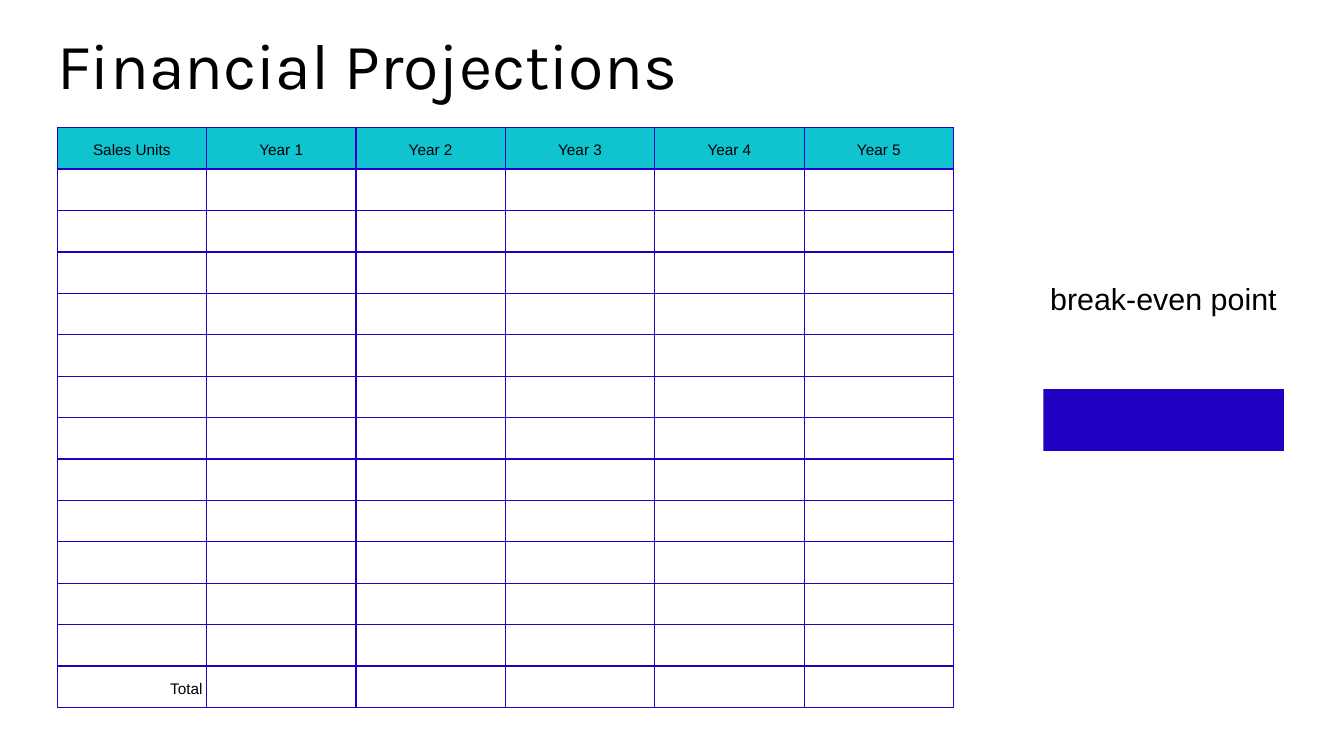
from dataclasses import dataclass

from lxml import etree
from pptx import Presentation
from pptx.dml.color import RGBColor
from pptx.enum.shapes import MSO_SHAPE
from pptx.enum.text import MSO_ANCHOR, MSO_AUTO_SIZE, PP_ALIGN
from pptx.oxml.ns import qn
from pptx.util import Inches, Pt

LEFT, CENTER, RIGHT = PP_ALIGN.LEFT, PP_ALIGN.CENTER, PP_ALIGN.RIGHT
TOP, MIDDLE = MSO_ANCHOR.TOP, MSO_ANCHOR.MIDDLE
NO_AUTOFIT = MSO_AUTO_SIZE.NONE
RECTANGLE = MSO_SHAPE.RECTANGLE
TITLE_ONLY = 5
BORDER_SIDES = ("a:lnL", "a:lnR", "a:lnT", "a:lnB")


@dataclass(frozen=True)
class Theme:
    """Colours, fonts and type sizes of the slide."""
    text: str = "000000"
    accent: str = "2100C4"
    header: str = "0FC3CF"
    background: str = "FFFFFF"
    title_font: str = "Karla"
    body_font: str = "Arial"
    title_size: float = 69.1
    label_size: float = 32.6
    table_size: float = 16.4
    border_width: float = 1.5


THEME = Theme()
HEADERS = ["Sales Units"] + [f"Year {year}" for year in range(1, 6)]
ROW_COUNT = 14


def set_attributes(target, values):
    """Set each named attribute of the target."""
    for name, value in values.items():
        setattr(target, name, value)


def place(shape, box):
    """Move and size a shape to a box in inches."""
    names = ("left", "top", "width", "height")
    set_attributes(shape, dict(zip(names, map(Inches, box))))


def write_text(text_frame, text, font_name, size, alignment, line_spacing):
    """Write one formatted paragraph."""
    text_frame.text = text
    paragraph = text_frame.paragraphs[0]
    set_attributes(paragraph, {"alignment": alignment, "line_spacing": Pt(line_spacing),
                               "space_before": Pt(0)})
    font = paragraph.runs[0].font
    set_attributes(font, {"name": font_name, "size": Pt(size), "bold": False})
    font.color.rgb = RGBColor.from_string(THEME.text)


def prepare_frame(text_frame):
    """Remove the margins and autofit of a text frame."""
    set_attributes(text_frame, {"margin_left": 0, "margin_right": 0, "margin_top": 0,
                                "margin_bottom": 0, "word_wrap": True,
                                "auto_size": NO_AUTOFIT, "vertical_anchor": TOP})


def add_title(slide, box):
    """Place and format the title placeholder."""
    title = slide.shapes.title
    place(title, box)
    prepare_frame(title.text_frame)
    write_text(title.text_frame, "Financial Projections", THEME.title_font,
               THEME.title_size, LEFT, 85)


def add_borders(cell):
    """Draw the four borders of a table cell."""
    properties = cell._tc.get_or_add_tcPr()
    for side in BORDER_SIDES:
        line = etree.SubElement(properties, qn(side), w=str(Pt(THEME.border_width)))
        fill = etree.SubElement(line, qn("a:solidFill"))
        etree.SubElement(fill, qn("a:srgbClr"), val=THEME.accent)


def format_cell(cell, color):
    """Give a table cell its margins, borders and fill."""
    margin = Inches(0.06)
    set_attributes(cell, {"margin_left": margin, "margin_right": margin,
                          "margin_top": margin, "margin_bottom": margin,
                          "vertical_anchor": MIDDLE})
    add_borders(cell)
    cell.fill.solid()
    cell.fill.fore_color.rgb = RGBColor.from_string(color)


def add_projection_table(slide, box):
    """Add the five-year sales table."""
    left, top, width, height = map(Inches, box)
    table = slide.shapes.add_table(ROW_COUNT, len(HEADERS), left, top, width, height).table
    set_attributes(table, {"first_row": False, "horz_banding": False})
    for row_index in range(ROW_COUNT):
        color = THEME.background if row_index else THEME.header
        for column_index in range(len(HEADERS)):
            format_cell(table.cell(row_index, column_index), color)
    entries = [(0, column, text, CENTER) for column, text in enumerate(HEADERS)]
    entries.append((ROW_COUNT - 1, 0, "Total", RIGHT))
    for row, column, text, alignment in entries:
        write_text(table.cell(row, column).text_frame, text, THEME.body_font,
                   THEME.table_size, alignment, 23)


def add_break_even(slide, box):
    """Add the break-even label and the bar below it."""
    left, top, width, height = box
    label = slide.shapes.add_textbox(0, 0, 0, 0)
    place(label, (left, top, width, 0.49))
    prepare_frame(label.text_frame)
    write_text(label.text_frame, "break-even point", THEME.body_font,
               THEME.label_size, CENTER, 35.9)
    bar_width, bar_height = 3.58, 0.92
    bar = slide.shapes.add_shape(RECTANGLE, 0, 0, 0, 0)
    place(bar, (left + (width - bar_width) / 2, top + height - bar_height,
                bar_width, bar_height))
    bar.shadow.inherit = False
    bar.fill.solid()
    bar.fill.fore_color.rgb = RGBColor.from_string(THEME.accent)
    bar.line.fill.background()


def main():
    """Build and save the financial projections slide."""
    presentation = Presentation()
    set_attributes(presentation, {"slide_width": Inches(20), "slide_height": Inches(11.25)})
    slide = presentation.slides.add_slide(presentation.slide_layouts[TITLE_ONLY])
    slide.background.fill.solid()
    slide.background.fill.fore_color.rgb = RGBColor.from_string(THEME.background)
    add_title(slide, (0.85, 0.34, 13.56, 1.17))
    add_projection_table(slide, (0.85, 1.9, 13.34, 8.63))
    add_break_even(slide, (15.36, 4.21, 3.91, 2.5))
    presentation.save("out.pptx")


if __name__ == "__main__":
    main()
